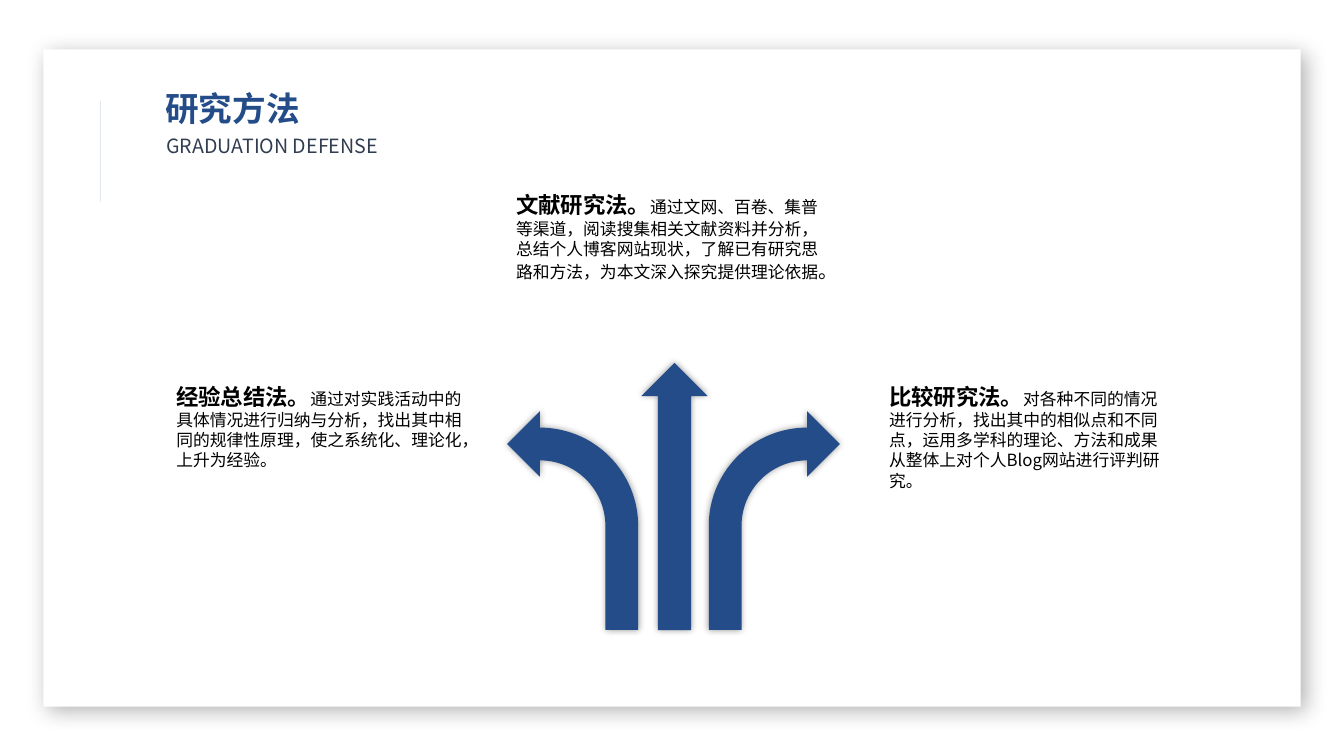
from dataclasses import dataclass

import pptx
import pptx.dml.color
import pptx.enum.shapes
import pptx.enum.text
import pptx.oxml
import pptx.oxml.ns
import pptx.util
from pptx.shapes.autoshape import Shape
from pptx.slide import Slide

W, H = 13.33, 7.5
FONT = "Noto Sans CJK SC"
BLUE, WHITE, BLACK, SLATE = "244C89", "FFFFFF", "000000", "313D51"
MSO = pptx.enum.shapes.MSO_SHAPE
inch = pptx.util.Inches


@dataclass(frozen=True)
class Box:
    """Place and size as shares of the slide's width and height."""
    x: float
    y: float
    w: float
    h: float

    def emu(self) -> tuple:
        return inch(self.x * W), inch(self.y * H), inch(self.w * W), inch(self.h * H)


@dataclass(frozen=True)
class Shadow:
    alpha: int
    blur: float
    dist: float
    angle: int


@dataclass(frozen=True)
class Arrow:
    kind: int
    box: Box
    adjustments: tuple
    flip: bool = False


@dataclass(frozen=True)
class Run:
    text: str
    size: float
    color: str = BLACK
    bold: bool = False


@dataclass(frozen=True)
class Method:
    box: Box
    runs: tuple


def rgb(color: str) -> pptx.dml.color.RGBColor:
    return pptx.dml.color.RGBColor.from_string(color)


def paint(s: Shape, color: str) -> None:
    s.shadow.inherit = False
    s.fill.solid()
    s.fill.fore_color.rgb = rgb(color)
    s.line.fill.background()


def add_shadow(s: Shape, shadow: Shadow) -> None:
    effects = s._element.spPr.find(pptx.oxml.ns.qn("a:effectLst"))
    effects.append(pptx.oxml.parse_xml(
        f'<a:outerShdw {pptx.oxml.ns.nsdecls("a")} blurRad="{pptx.util.Pt(shadow.blur)}" '
        f'dist="{pptx.util.Pt(shadow.dist)}" dir="{shadow.angle * 60000}" algn="ctr" '
        f'rotWithShape="0"><a:srgbClr val="{BLACK}">'
        f'<a:alpha val="{shadow.alpha * 1000}"/></a:srgbClr></a:outerShdw>'))


def add_block(slide: Slide, kind: int, box: Box, color: str) -> Shape:
    s = slide.shapes.add_shape(kind, *box.emu())
    paint(s, color)
    return s


def write(s: Shape, runs: tuple, spacing: float | pptx.util.Pt) -> None:
    tf = s.text_frame
    tf.word_wrap = True
    tf.vertical_anchor = pptx.enum.text.MSO_ANCHOR.TOP
    p = tf.paragraphs[0]
    p.alignment = pptx.enum.text.PP_ALIGN.LEFT
    p.line_spacing = spacing
    for run in runs:
        r = p.add_run()
        r.text = run.text
        r.font.size = pptx.util.Pt(run.size)
        r.font.bold = run.bold
        r.font.name = FONT
        r.font.color.rgb = rgb(run.color)
        ea = pptx.oxml.parse_xml(f'<a:ea {pptx.oxml.ns.nsdecls("a")} typeface="{FONT}"/>')
        r.font._element.find(pptx.oxml.ns.qn("a:latin")).addnext(ea)


def add_outline(slide: Slide, contours: tuple, color: str) -> None:
    first, *others = contours
    builder = slide.shapes.build_freeform(*first[0], scale=float(inch(1)))
    builder.add_line_segments(first[1:], close=True)
    for contour in others:
        builder.move_to(*contour[0])
        builder.add_line_segments(contour[1:], close=True)
    paint(builder.convert_to_shape(), color)


def hexagon(rx: float, ry: float) -> tuple:
    cx, cy = 1.18, 1.225
    return tuple((cx + rx * i, cy + ry * j) for i, j in
                 ((0, -1), (1, -0.5), (1, 0.5), (0, 1), (-1, 0.5), (-1, -0.5)))


# Hexagon badge: ring, underline, then the parts of the pencil
BADGE = (
    hexagon(0.24, 0.285),
    hexagon(0.2, 0.235),
    ((1.13, 1.36), (1.28, 1.36), (1.28, 1.37), (1.13, 1.37)),
    ((1.14, 1.29), (1.21, 1.16), (1.24, 1.18), (1.17, 1.31)),
    ((1.09, 1.26), (1.16, 1.13), (1.19, 1.14), (1.11, 1.27)),
    ((1.07, 1.36), (1.08, 1.3), (1.13, 1.33), (1.08, 1.36)),
    ((1.18, 1.09), (1.17, 1.11), (1.25, 1.16), (1.26, 1.14)),
    ((1.2, 1.07), (1.22, 1.06), (1.27, 1.09), (1.28, 1.11), (1.27, 1.13), (1.19, 1.08)),
)

CARD = Box(0.43 / W, 0.49 / H, 12.47 / W, 6.52 / H)
CARD_SHADOW = Shadow(30, 15, 5, 45)
ARROW_SHADOW = Shadow(40, 5, 0, 0)
TITLE = Box(1.54 / W, 0.82 / H, 3.97 / W, 0.5 / H)
SUBTITLE = Box(1.65 / W, 1.24 / H, 2.17 / W, 0.34 / H)

BEND = (0.25, 0.25, 0.25, 0.75)
ARROWS = (
    Arrow(MSO.BENT_ARROW, Box(7.03 / W, 4.08 / H, 1.3 / W, 2.17 / H), BEND),
    Arrow(MSO.BENT_ARROW, Box(5.03 / W, 4.08 / H, 1.3 / W, 2.17 / H), BEND, flip=True),
    Arrow(MSO.UP_ARROW, Box(6.36 / W, 3.6 / H, 0.66 / W, 2.65 / H), (0.5, 0.5)),
)

METHODS = (
    Method(Box(1.65 / W, 3.75 / H, 3.15 / W, 1.49 / H), (
        Run("经验总结法。", 16, bold=True),
        Run("通过对实践活动中的具体情况进行归纳与分析，找出其中相同的规律性原理，"
            "使之系统化、理论化，上升为经验。", 12))),
    Method(Box(8.72 / W, 3.75 / H, 2.97 / W, 1.49 / H), (
        Run("比较研究法。", 16, bold=True),
        Run("对各种不同的情况进行分析，找出其中的相似点和不同点，运用多学科的理论、"
            "方法和成果从整体上对个人Blog网站进行评判研究。", 12))),
    Method(Box(5.02 / W, 1.85 / H, 3.29 / W, 1.57 / H), (
        Run("文献研究法。", 16, bold=True),
        Run("通过文网、百卷、集普等渠道，阅读搜集相关文献资料并分析，总结个人博客网站现状，"
            "了解已有研究思路和方法，为本文深入探究提供理论依据", 12),
        Run("。", 14))),
)


def main() -> None:
    prs = pptx.Presentation()
    prs.slide_width, prs.slide_height = inch(W), inch(H)
    slide = prs.slides.add_slide(prs.slide_layouts[6])

    # Card and badge
    add_shadow(add_block(slide, MSO.RECTANGLE, CARD, WHITE), CARD_SHADOW)
    add_outline(slide, BADGE, BLUE)

    # Headings
    subtitle = slide.shapes.add_textbox(*SUBTITLE.emu())
    tf = subtitle.text_frame
    tf.margin_left = tf.margin_right = tf.margin_top = 0
    write(subtitle, (Run("GRADUATION DEFENSE", 14, SLATE),), pptx.util.Pt(23))
    title = slide.shapes.add_textbox(*TITLE.emu())
    write(title, (Run("研究方法", 24, BLUE, bold=True),), 1.0)

    # Three-way arrows
    for arrow in ARROWS:
        s = add_block(slide, arrow.kind, arrow.box, BLUE)
        for i, value in enumerate(arrow.adjustments):
            s.adjustments[i] = value
        if arrow.flip:
            s._element.spPr.xfrm.set("flipH", "1")
        add_shadow(s, ARROW_SHADOW)

    # Research methods
    for method in METHODS:
        write(add_block(slide, MSO.RECTANGLE, method.box, WHITE), method.runs, 1.0)

    prs.save("out.pptx")


if __name__ == "__main__":
    main()
